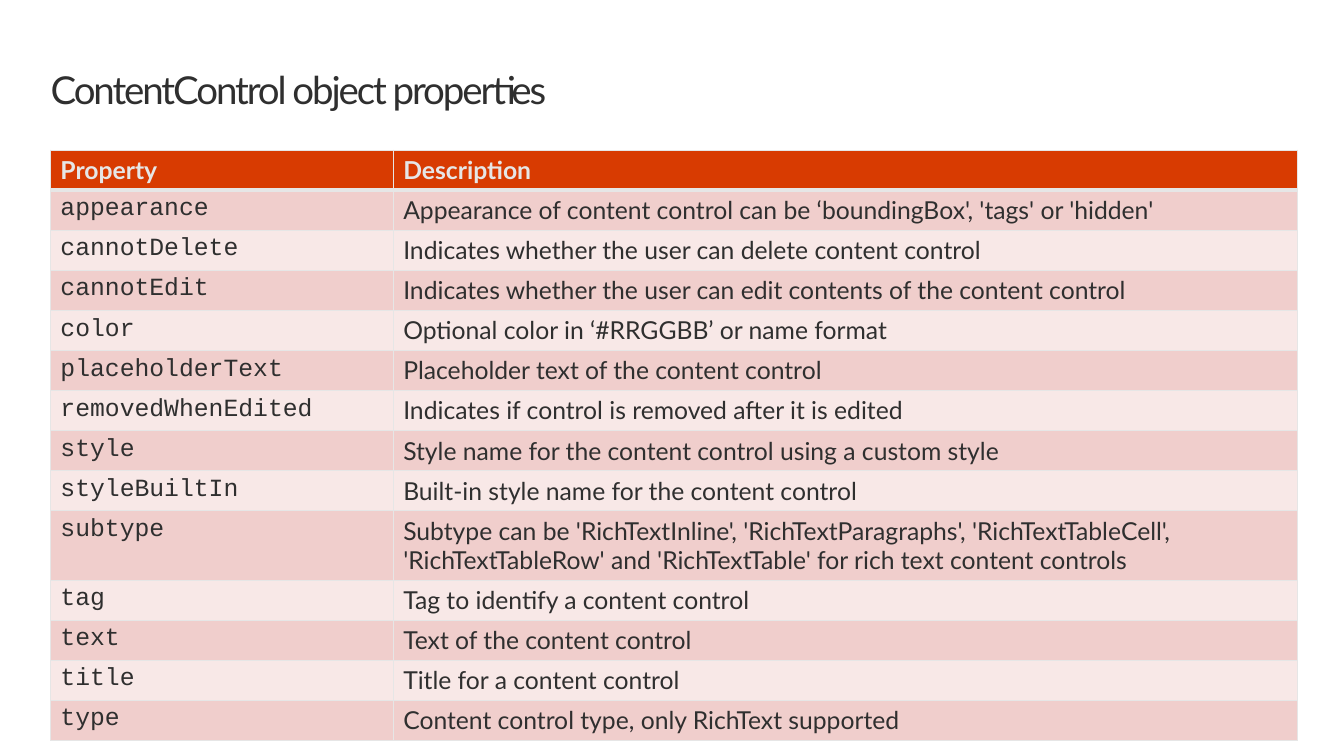
from pptx import Presentation
from pptx.dml.color import RGBColor
from pptx.enum.text import MSO_ANCHOR, PP_ALIGN
from pptx.oxml.ns import qn
from pptx.util import Cm, Pt
from lxml.etree import SubElement

INK = RGBColor(0x2F, 0x2F, 0x2F)
PALE_GREY = RGBColor(0xE6, 0xE6, 0xE6)
ORANGE = RGBColor(0xD8, 0x3B, 0x01)
ROSE = RGBColor(0xF0, 0xCE, 0xCC)
LIGHT_ROSE = RGBColor(0xF8, 0xE8, 0xE7)

ROWS = [
    ("Property", "Description"),
    ("appearance", "Appearance of content control can be ‘boundingBox', 'tags' or 'hidden'"),
    ("cannotDelete", "Indicates whether the user can delete content control"),
    ("cannotEdit", "Indicates whether the user can edit contents of the content control"),
    ("color", "Optional color in ‘#RRGGBB’ or name format"),
    ("placeholderText", "Placeholder text of the content control"),
    ("removedWhenEdited", "Indicates if control is removed after it is edited"),
    ("style", "Style name for the content control using a custom style"),
    ("styleBuiltIn", "Built-in style name for the content control"),
    ("subtype", "Subtype can be 'RichTextInline', 'RichTextParagraphs', 'RichTextTableCell', "
                "'RichTextTableRow' and 'RichTextTable' for rich text content controls"),
    ("tag", "Tag to identify a content control"),
    ("text", "Text of the content control"),
    ("title", "Title for a content control"),
    ("type", "Content control type, only RichText supported"),
]
COLUMN_WIDTHS = [Cm(8.81), Cm(23.23)]
ROW_HEIGHT = Cm(1.03)
LEFT = Cm(1.3)


def style_text(span, name, size, color, bold=False):
    span.font.name = name
    span.font.size = Pt(size)
    span.font.color.rgb = color
    span.font.bold = bold


def add_border(cell, side, width):
    line = SubElement(cell._tc.get_or_add_tcPr(), qn("a:ln" + side), w=str(Pt(width)))
    fill = SubElement(line, qn("a:solidFill"))
    SubElement(fill, qn("a:srgbClr"), val=str(PALE_GREY))


deck = Presentation()
deck.slide_width = Cm(34.54)
deck.slide_height = Cm(19.43)
page = deck.slides.add_slide(deck.slide_layouts[5])

# Title
title = page.shapes.title
title.left, title.top, title.width, title.height = LEFT, Cm(1.75), sum(COLUMN_WIDTHS), Cm(1.14)
frame = title.text_frame
frame.text = "ContentControl object properties"
frame.margin_left = frame.margin_top = frame.margin_right = frame.margin_bottom = 0
frame.vertical_anchor = MSO_ANCHOR.TOP
frame.word_wrap = True
para = frame.paragraphs[0]
para.alignment = PP_ALIGN.LEFT
para.line_spacing = Pt(32)
span = para.runs[0]
style_text(span, "Lato", 28, INK)
span._r.get_or_add_rPr().set("spc", "-150")

# Property table
table = page.shapes.add_table(len(ROWS), len(COLUMN_WIDTHS), LEFT, Cm(3.86),
                              sum(COLUMN_WIDTHS), ROW_HEIGHT * len(ROWS)).table
for column, width in zip(table.columns, COLUMN_WIDTHS):
    column.width = width

for row_index, texts in enumerate(ROWS):
    table.rows[row_index].height = ROW_HEIGHT
    is_header = row_index == 0
    for column_index, text in enumerate(texts):
        cell = table.cell(row_index, column_index)
        cell.text = text
        is_code = column_index == 0 and not is_header
        style_text(cell.text_frame.paragraphs[0].runs[0],
                   "Courier New" if is_code else "Lato", 18,
                   PALE_GREY if is_header else INK, is_header)

        # A thicker rule separates the header from the body
        add_border(cell, "L", 1)
        add_border(cell, "R", 1)
        add_border(cell, "T", 3 if row_index == 1 else 1)
        add_border(cell, "B", 3 if is_header else 1)

        cell.fill.solid()
        band = ROSE if row_index % 2 else LIGHT_ROSE
        cell.fill.fore_color.rgb = ORANGE if is_header else band

deck.save("out.pptx")
